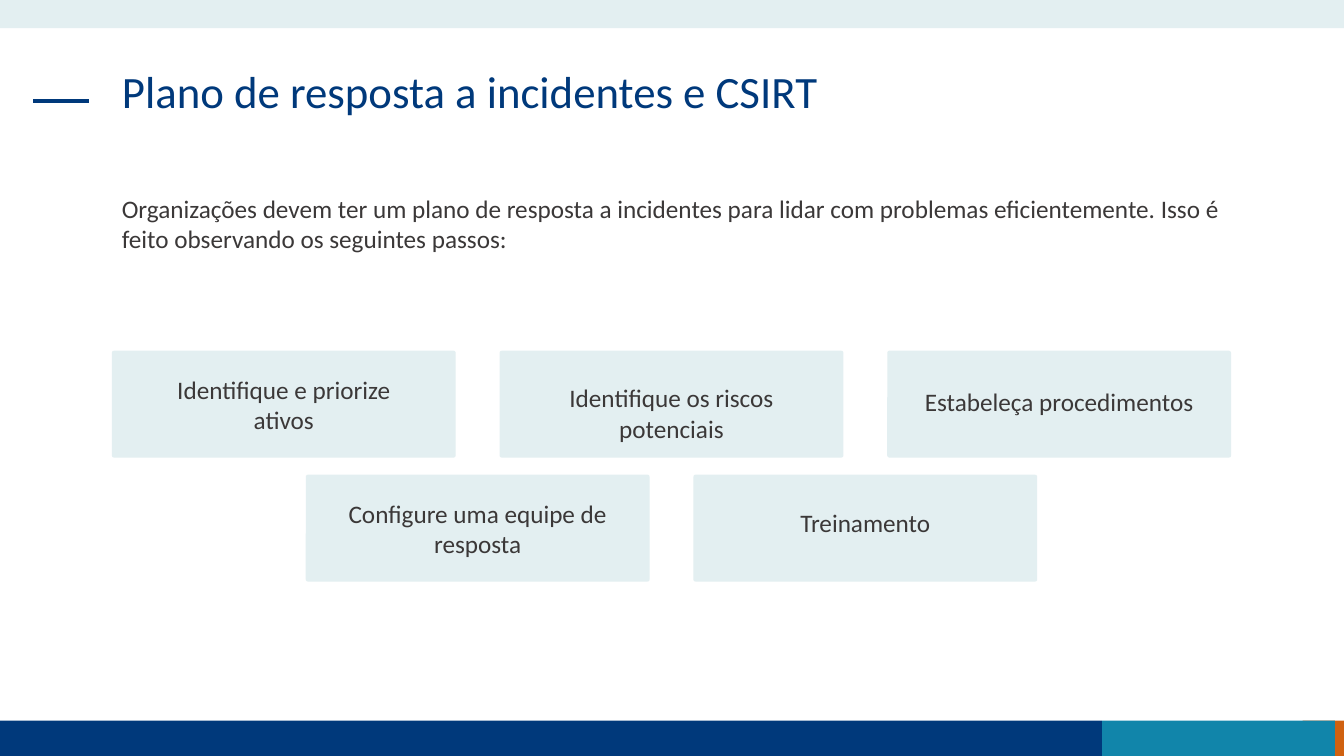
import pptx
import pptx.dml.color
import pptx.enum.shapes
import pptx.enum.text
import pptx.oxml
import pptx.util

Inches = pptx.util.Inches
ALIGN = pptx.enum.text.PP_ALIGN
SHAPES = pptx.enum.shapes.MSO_SHAPE

NAVY, TEAL, ORANGE, PALE, GREY = "00397B", "1185AA", "D06110", "E3EFF1", "3B3838"

TITLE = "Plano de resposta a incidentes e CSIRT"
INTRO = ("Organizações devem ter um plano de resposta a incidentes para lidar com "
         "problemas eficientemente. Isso é feito observando os seguintes passos:")
# Each step: text, distance from the top of its card to the text
STEP_ROWS = [
    [("Identifique e priorize ativos", 0.23),
     ("Identifique os riscos potenciais", 0.31),
     ("Estabeleça procedimentos", 0.35)],
    [("Configure uma equipe de resposta", 0.23),
     ("Treinamento", 0.32)],
]
# Each band: left, top, width, height, colour
BANDS = [
    (12.92, 7.15, 0.41, 0.35, ORANGE),
    (0, 7.15, 10.93, 0.35, NAVY),
    (10.93, 7.15, 2.31, 0.35, TEAL),
    (0, 0, 13.33, 0.28, PALE),
]

SLIDE_WIDTH, SLIDE_HEIGHT = 13.33, 7.5
CONTENT_LEFT, CONTENT_WIDTH = 1.11, 11.1
CARD_WIDTH, CARD_HEIGHT = 3.41, 1.06
CARD_TOP, COLUMN_PITCH, ROW_PITCH = 3.48, 3.845, 1.23
CARD_SIDE_MARGIN = 0.33


def rgb(hex_colour):
    return pptx.dml.color.RGBColor.from_string(hex_colour)


def write(shape, text, size, colour, alignment=ALIGN.LEFT, **frame_format):
    frame = shape.text_frame
    frame_format = {"word_wrap": True,
                    "auto_size": pptx.enum.text.MSO_AUTO_SIZE.NONE,
                    "vertical_anchor": pptx.enum.text.MSO_ANCHOR.TOP,
                    **frame_format}
    for name, value in frame_format.items():
        setattr(frame, name, value)
    frame.text = text
    paragraph = frame.paragraphs[0]
    paragraph.alignment = alignment
    for name, value in {"name": "Calibri", "size": pptx.util.Pt(size)}.items():
        setattr(paragraph.font, name, value)
    paragraph.font.color.rgb = rgb(colour)
    return paragraph


def add_block(slide, kind, left, top, width, height, colour):
    """Add a filled shape without outline or shadow."""
    shape = slide.shapes.add_shape(
        kind, Inches(left), Inches(top), Inches(width), Inches(height))
    shape.shadow.inherit = False
    shape.fill.solid()
    shape.fill.fore_color.rgb = rgb(colour)
    shape.line.fill.background()
    return shape


def add_title_dash(slide):
    dash = slide.shapes.add_connector(
        pptx.enum.shapes.MSO_CONNECTOR.STRAIGHT,
        Inches(0.33), Inches(1), Inches(0.88), Inches(1))
    dash.line.color.rgb = rgb(NAVY)
    dash.line.width = pptx.util.Pt(3)
    dash.element.spPr.append(pptx.oxml.parse_xml(
        '<a:effectLst xmlns:a="http://schemas.openxmlformats.org/drawingml/2006/main"/>'))


def add_title(slide):
    title = slide.shapes.title
    place = {"left": CONTENT_LEFT, "top": 0.64, "width": CONTENT_WIDTH, "height": 0.94}
    for name, value in place.items():
        setattr(title, name, Inches(value))
    write(title, TITLE, 32, NAVY).line_spacing = 0.9


def add_steps(slide):
    """Add the rows of cards, each row centred under the content."""
    for row, steps in enumerate(STEP_ROWS):
        row_width = (len(steps) - 1) * COLUMN_PITCH + CARD_WIDTH
        row_left = CONTENT_LEFT + (CONTENT_WIDTH - row_width) / 2
        for column, (text, text_top) in enumerate(steps):
            card = add_block(slide, SHAPES.ROUNDED_RECTANGLE,
                             row_left + column * COLUMN_PITCH,
                             CARD_TOP + row * ROW_PITCH,
                             CARD_WIDTH, CARD_HEIGHT, PALE)
            card.adjustments[0] = 0.02
            write(card, text, 18, GREY, ALIGN.CENTER,
                  margin_left=Inches(CARD_SIDE_MARGIN),
                  margin_right=Inches(CARD_SIDE_MARGIN),
                  margin_top=Inches(text_top), margin_bottom=0)


def main():
    presentation = pptx.Presentation()
    presentation.slide_width = Inches(SLIDE_WIDTH)
    presentation.slide_height = Inches(SLIDE_HEIGHT)
    slide = presentation.slides.add_slide(presentation.slide_layouts[5])

    for *place, colour in BANDS:
        add_block(slide, SHAPES.RECTANGLE, *place, colour)
    add_title_dash(slide)
    add_title(slide)
    intro = slide.shapes.add_textbox(
        Inches(CONTENT_LEFT), Inches(1.87), Inches(CONTENT_WIDTH), Inches(0.71))
    write(intro, INTRO, 18, GREY)
    add_steps(slide)
    presentation.save("out.pptx")


if __name__ == "__main__":
    main()
